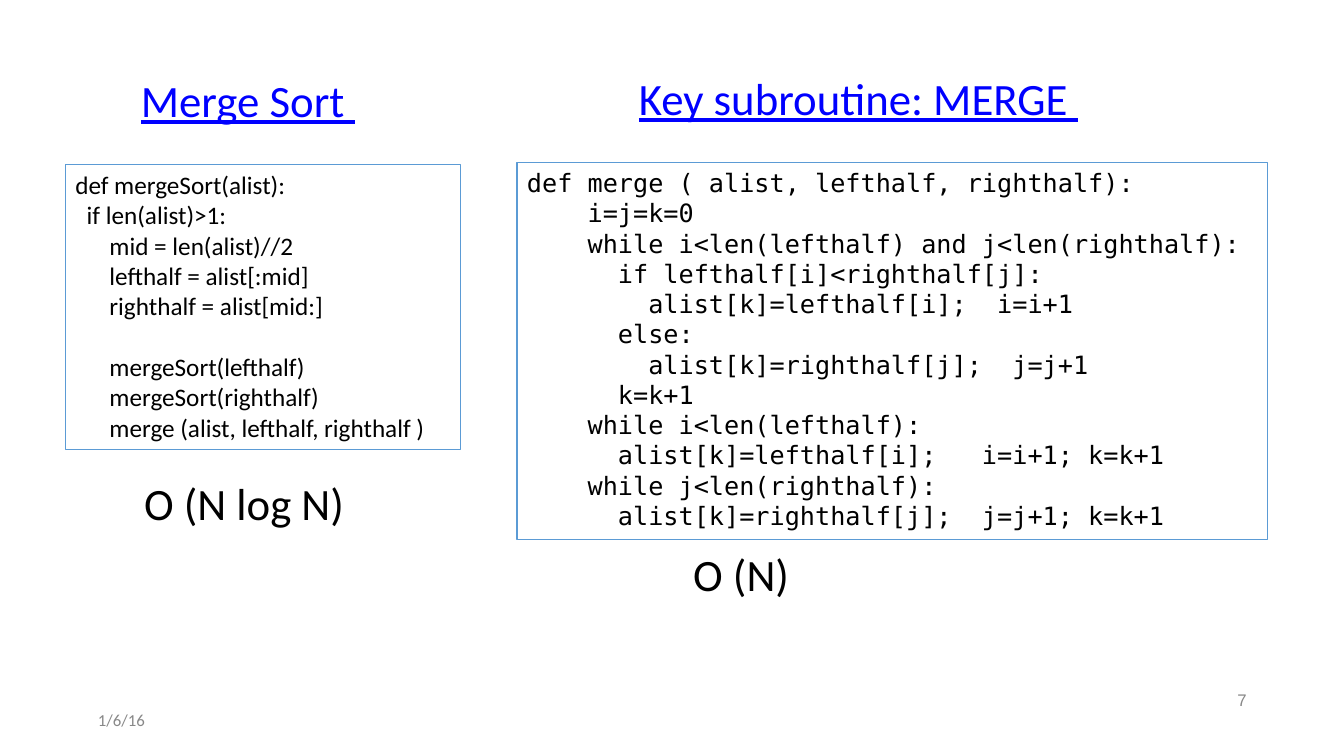
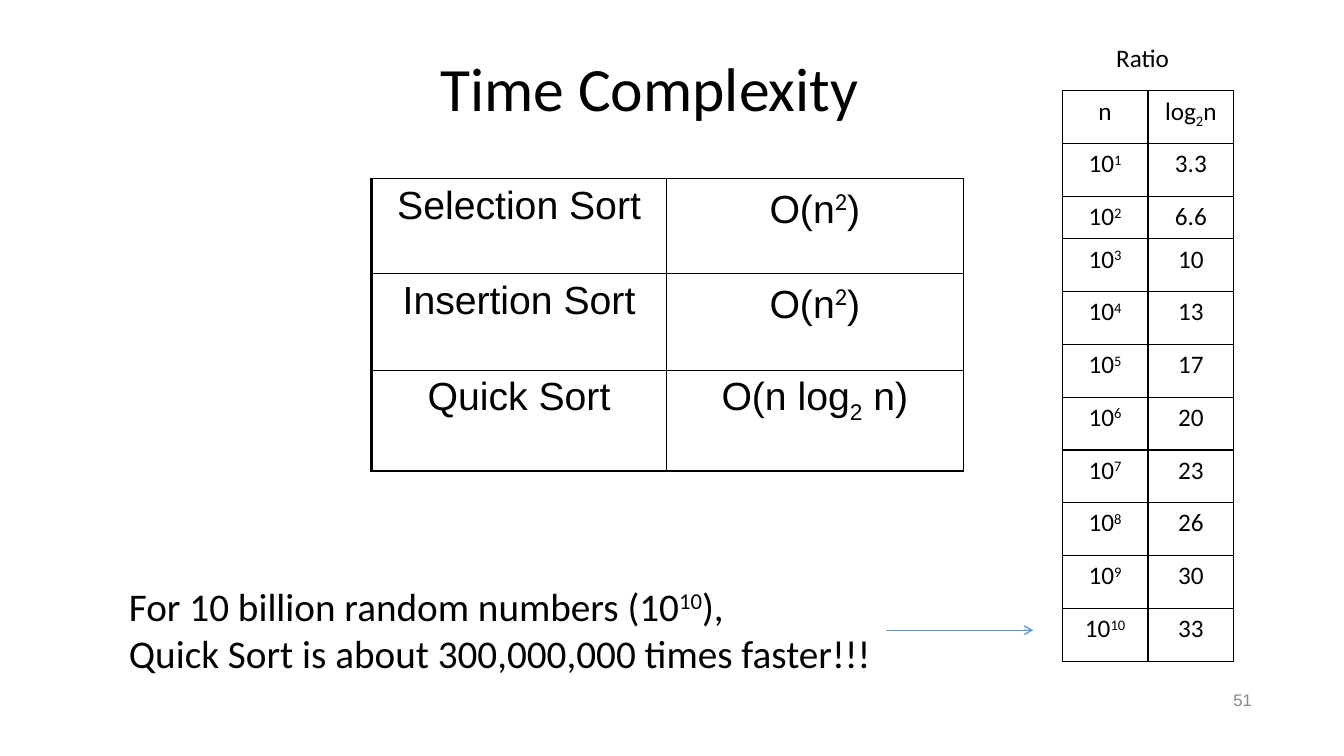
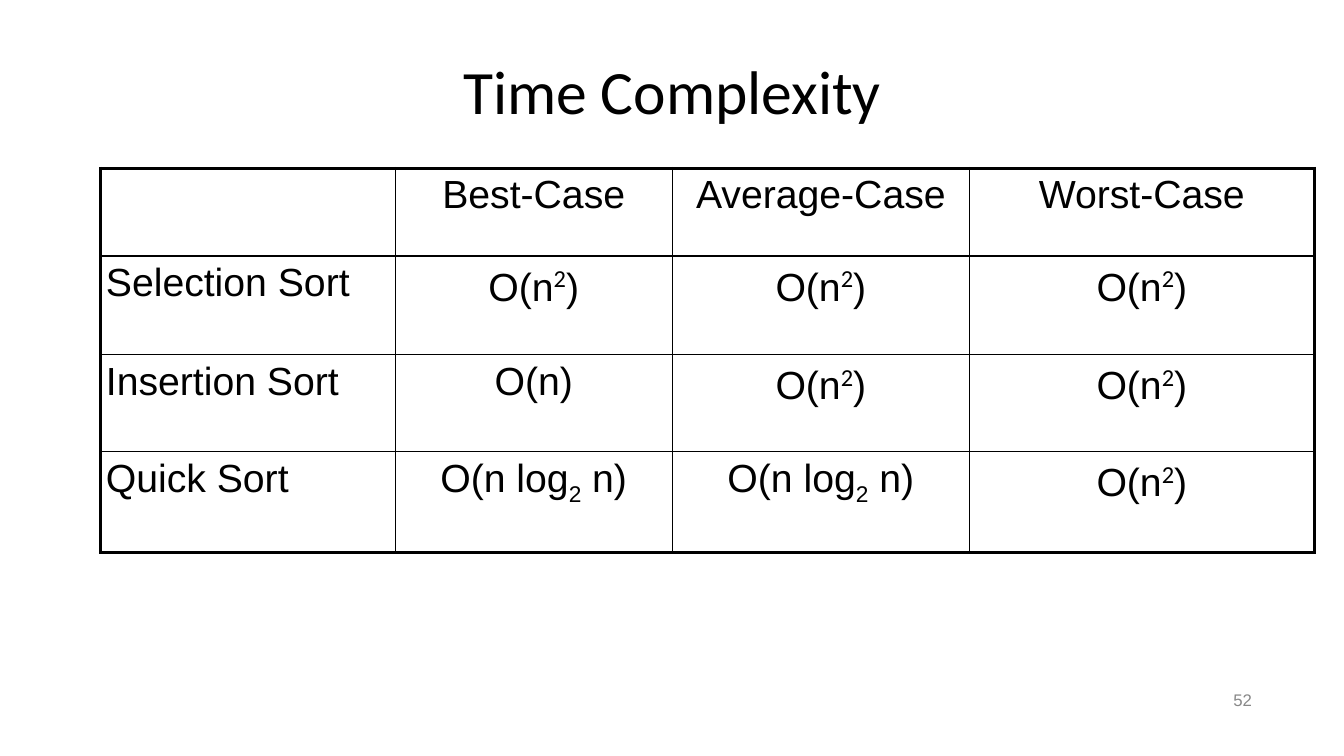
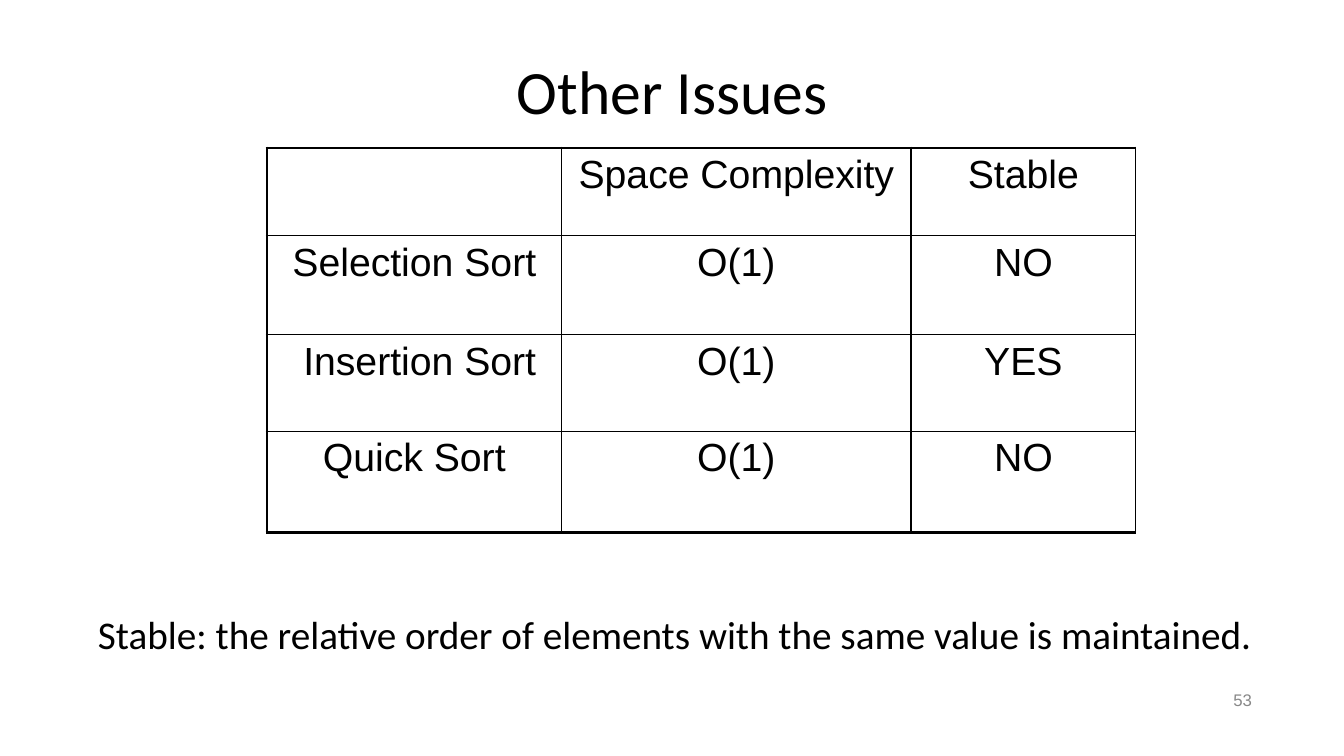
import collections

import lxml.etree
import pptx
import pptx.dml.color
import pptx.enum.shapes
import pptx.enum.text
import pptx.oxml
import pptx.oxml.ns
import pptx.util

Cm = pptx.util.Cm
Pt = pptx.util.Pt
Align = pptx.enum.text.PP_ALIGN
Anchor = pptx.enum.text.MSO_ANCHOR

Box = collections.namedtuple("Box", "left top width height")


class Theme:
    ink = "000000"
    heading = "0000FF"
    accent = "5B9BD5"
    muted = "888888"
    body_font = "Calibri"
    table_font = "Arial"
    code_font = "DejaVu Sans Mono"
    title_size = 44
    heading_size = 32
    body_size = 28
    code_size = 18
    code_line = 22
    footer_size = 12
    thin = 1
    thick = 2.25
    outline = 0.75
    inset = 0.13
    wide_inset = 0.25


DATE_BOX = Box(2.34, 17.78, 7.62, 0.74)
NUMBER_BOX = Box(23.93, 17.27, 7.62, 0.74)
TITLE_BOX = Box(2.34, 1.02, 29.21, 2.72)
RAISED_IN_TABLE = {"font": Theme.body_font, "size": 30, "baseline": 32}


def color(value):
    return pptx.dml.color.RGBColor.from_string(value)


def lengths(box):
    return [Cm(value) for value in box]


def write(para, text, font=Theme.body_font, size=Theme.body_size, ink=Theme.ink,
          underline=None, align=Align.LEFT, raised=None):
    """Fill a paragraph; "|" parts the spans, "^" raises one and "_" lowers one."""
    para.alignment = align
    plain = {"font": font, "size": size, "baseline": 0}
    styles = {"^": {**plain, "baseline": 30, **(raised or {})},
              "_": {**plain, "baseline": -25}}
    for part in text.split("|"):
        style = styles.get(part[:1], plain)
        span = para.add_run()
        span.text = part if style is plain else part[1:]
        span.font.name = style["font"]
        span.font.size = Pt(style["size"])
        span.font.color.rgb = color(ink)
        span.font.underline = underline
        if style["baseline"]:
            span._r.get_or_add_rPr().set("baseline", str(style["baseline"] * 1000))


def set_margins(target, side, end=Theme.inset):
    target.margin_left = target.margin_right = Cm(side)
    target.margin_top = target.margin_bottom = Cm(end)


def add_text(page, box, *lines, inset=Theme.inset, anchor=Anchor.TOP,
             line_spacing=None, **style):
    frame = page.shapes.add_textbox(*lengths(box)).text_frame
    frame.word_wrap = True
    frame.vertical_anchor = anchor
    set_margins(frame, inset)
    for index, line in enumerate(lines):
        para = frame.add_paragraph() if index else frame.paragraphs[0]
        para.line_spacing = line_spacing
        write(para, line, **style)


def add_title(page, text, box=TITLE_BOX):
    add_text(page, box, text, size=Theme.title_size, anchor=Anchor.MIDDLE,
             align=Align.CENTER, line_spacing=0.9)


def add_number(page, number, inset=0):
    add_text(page, NUMBER_BOX, str(number), inset=inset, font=Theme.table_font,
             size=Theme.footer_size, ink=Theme.muted, anchor=Anchor.MIDDLE,
             align=Align.RIGHT)


def add_code(page, box, code, font):
    """Outlined listing; an empty line becomes space above the next one."""
    panel = page.shapes.add_shape(pptx.enum.shapes.MSO_SHAPE.RECTANGLE, *lengths(box))
    panel.shadow.inherit = False
    panel.fill.background()
    panel.line.color.rgb = color(Theme.accent)
    panel.line.width = Pt(Theme.outline)
    frame = panel.text_frame
    frame.word_wrap = True
    frame.vertical_anchor = Anchor.TOP
    set_margins(frame, Theme.wide_inset)
    para, gap = frame.paragraphs[0], 0
    for index, line in enumerate(code):
        if not line:
            gap += Theme.code_line
            continue
        if index:
            para = frame.add_paragraph()
        if gap:
            para.space_before, gap = Pt(gap), 0
        write(para, line, font=font, size=Theme.code_size)


def add_algorithm(page, box, heading, code, cost, font, heading_indent,
                  cost_indent, cost_gap):
    """Listing in the box, its heading above and its cost below."""
    style = {"size": Theme.heading_size, "inset": Theme.wide_inset}
    add_text(page, Box(box.left + heading_indent, box.top - 2.44,
                       box.width - heading_indent, 1.63),
             heading, ink=Theme.heading, underline=True, **style)
    add_code(page, box, code, font)
    add_text(page, Box(box.left + cost_indent, box.top + box.height + cost_gap,
                       box.width - cost_indent, 1.63), cost, **style)


def set_border(cell, side, width):
    line = lxml.etree.SubElement(cell._tc.get_or_add_tcPr(),
                                 pptx.oxml.ns.qn("a:ln" + side), w=str(Pt(width)))
    fill = lxml.etree.SubElement(line, pptx.oxml.ns.qn("a:solidFill"))
    lxml.etree.SubElement(fill, pptx.oxml.ns.qn("a:srgbClr"), val=Theme.ink)


def add_grid(page, left, top, widths, heights, rows, heavy="", side=Theme.inset,
             first_align=Align.CENTER, **style):
    """Ruled table; heavy names the outer edges (L, R, T, B) drawn thick."""
    box = Box(left, top, sum(widths), sum(heights))
    table = page.shapes.add_table(len(rows), len(widths), *lengths(box)).table
    table.first_row = table.horz_banding = False
    for column, width in zip(table.columns, widths):
        column.width = Cm(width)
    for row, height in zip(table.rows, heights):
        row.height = Cm(height)
    for r, texts in enumerate(rows):
        for c, text in enumerate(texts):
            cell = table.cell(r, c)
            set_margins(cell, side)
            outer = {"L": c == 0, "R": c == len(widths) - 1,
                     "T": r == 0, "B": r == len(rows) - 1}
            for edge, is_outer in outer.items():
                thick = is_outer and edge in heavy
                set_border(cell, edge, Theme.thick if thick else Theme.thin)
            cell.fill.background()
            if text:
                write(cell.text_frame.paragraphs[0], text,
                      align=Align.CENTER if c else first_align, **style)


def add_sort_grid(page, *args, **options):
    add_grid(page, *args, font=Theme.table_font, raised=RAISED_IN_TABLE, **options)


def add_arrow(page, left, right, y):
    arrow = page.shapes.add_connector(pptx.enum.shapes.MSO_CONNECTOR.STRAIGHT,
                                      Cm(left), Cm(y), Cm(right), Cm(y))
    arrow.line.color.rgb = color(Theme.accent)
    arrow.line.width = Pt(Theme.thin)
    lxml.etree.SubElement(arrow.line._get_or_add_ln(),
                          pptx.oxml.ns.qn("a:tailEnd"), type="arrow")
    lxml.etree.SubElement(arrow._element.spPr, pptx.oxml.ns.qn("a:effectLst"))


MERGE_SORT = """\
def mergeSort(alist):
  if len(alist)>1:
      mid = len(alist)//2
      lefthalf = alist[:mid]
      righthalf = alist[mid:]

      mergeSort(lefthalf)
      mergeSort(righthalf)
      merge (alist, lefthalf, righthalf )""".split("\n")

MERGE = """\
def merge ( alist, lefthalf, righthalf):
    i=j=k=0
    while i<len(lefthalf) and j<len(righthalf):
      if lefthalf[i]<righthalf[j]:
        alist[k]=lefthalf[i];  i=i+1
      else:
        alist[k]=righthalf[j];  j=j+1
      k=k+1
    while i<len(lefthalf):
      alist[k]=lefthalf[i];   i=i+1; k=k+1
    while j<len(righthalf):
      alist[k]=righthalf[j];  j=j+1; k=k+1""".split("\n")

SQUARE = "O(n|^2|)"
LOG_LINEAR = "O(n log|_2| n)"
SORT_HEIGHTS = [2.21, 2.49, 2.44, 2.54]
LOGARITHMS = ["3.3", "6.6", "10", "13", "17", "20", "23", "26", "30", "33"]


def build_merge_sort(page):
    add_text(page, DATE_BOX, "1/6/16", size=Theme.footer_size, ink=Theme.muted,
             anchor=Anchor.MIDDLE)
    add_number(page, 7, inset=Theme.inset)
    add_algorithm(page, Box(1.65, 4.14, 9.96, 7.19), "Merge Sort ", MERGE_SORT,
                  "O (N log N)", Theme.body_font,
                  heading_indent=1.65, cost_indent=1.73, cost_gap=0.53)
    add_algorithm(page, Box(13.03, 4.09, 18.92, 9.5), "Key subroutine: MERGE ", MERGE,
                  "O (N)", Theme.code_font,
                  heading_indent=2.82, cost_indent=4.19, cost_gap=0.05)


def build_ratio(page):
    add_number(page, 51)
    add_title(page, "Time Complexity", Box(9.37, 0.94, 14, 2.72))
    add_sort_grid(page, 9.37, 4.5, [7.42, 7.49], [2.39, 2.44, 2.54],
                  [["Selection Sort", SQUARE],
                   ["Insertion Sort", SQUARE],
                   ["Quick Sort", LOG_LINEAR]], heavy="LB")
    add_text(page, Box(3.12, 14.55, 19.2, 2.64),
             "For 10 billion random numbers (10|^10|),",
             "Quick Sort is about 300,000,000 times faster!!!")
    powers = [[f"10|^{power}", value] for power, value in enumerate(LOGARITHMS, 1)]
    add_grid(page, 26.77, 2.29, [2.16] * 2, [1.33] * 2 + [1.07] + [1.33] * 8,
             [["n", "log|_2|n"]] + powers,
             side=Theme.wide_inset, size=Theme.code_size)
    add_arrow(page, 22.33, 26.04, 15.88)
    add_text(page, Box(28, 0.94, 2.18, 1.02), "Ratio", size=Theme.code_size)


def build_cases(page):
    add_number(page, 52)
    add_title(page, "Time Complexity")
    add_sort_grid(page, 2.54, 4.24, [7.42, 6.98, 7.49, 8.69], SORT_HEIGHTS,
                  [["", "Best-Case", "Average-Case", "Worst-Case"],
                   ["Selection Sort", SQUARE, SQUARE, SQUARE],
                   ["Insertion Sort", "O(n)", SQUARE, SQUARE],
                   ["Quick Sort", LOG_LINEAR, LOG_LINEAR, SQUARE]],
                  heavy="LRTB", first_align=Align.LEFT)


def build_other_issues(page):
    add_number(page, 53)
    add_title(page, "Other Issues")
    add_sort_grid(page, 6.73, 3.73, [7.42, 8.81, 5.66], SORT_HEIGHTS,
                  [["", "Space Complexity", "Stable"],
                   ["Selection Sort", "O(1)", "NO"],
                   [" Insertion Sort", "O(1)", "YES"],
                   ["Quick Sort", "O(1)", "NO"]], heavy="LTB")
    add_text(page, Box(2.34, 15.24, 29.74, 1.45),
             "Stable: the relative order of elements with the same value is maintained.")


def main():
    deck = pptx.Presentation()
    deck.slide_width, deck.slide_height = Cm(33.87), Cm(19.05)
    for build in (build_merge_sort, build_ratio, build_cases, build_other_issues):
        build(deck.slides.add_slide(deck.slide_layouts[6]))
    deck.save("out.pptx")


if __name__ == "__main__":
    main()
